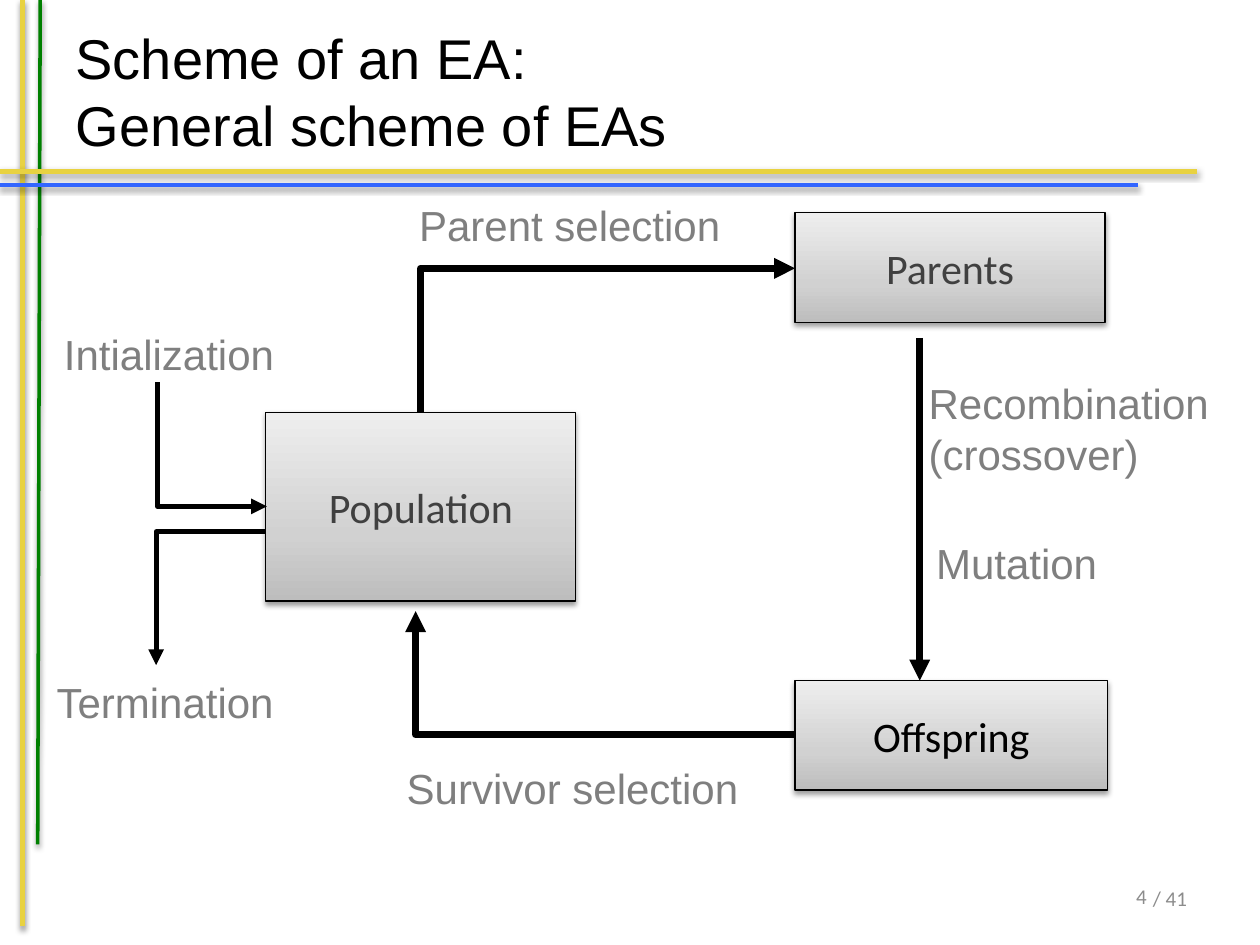
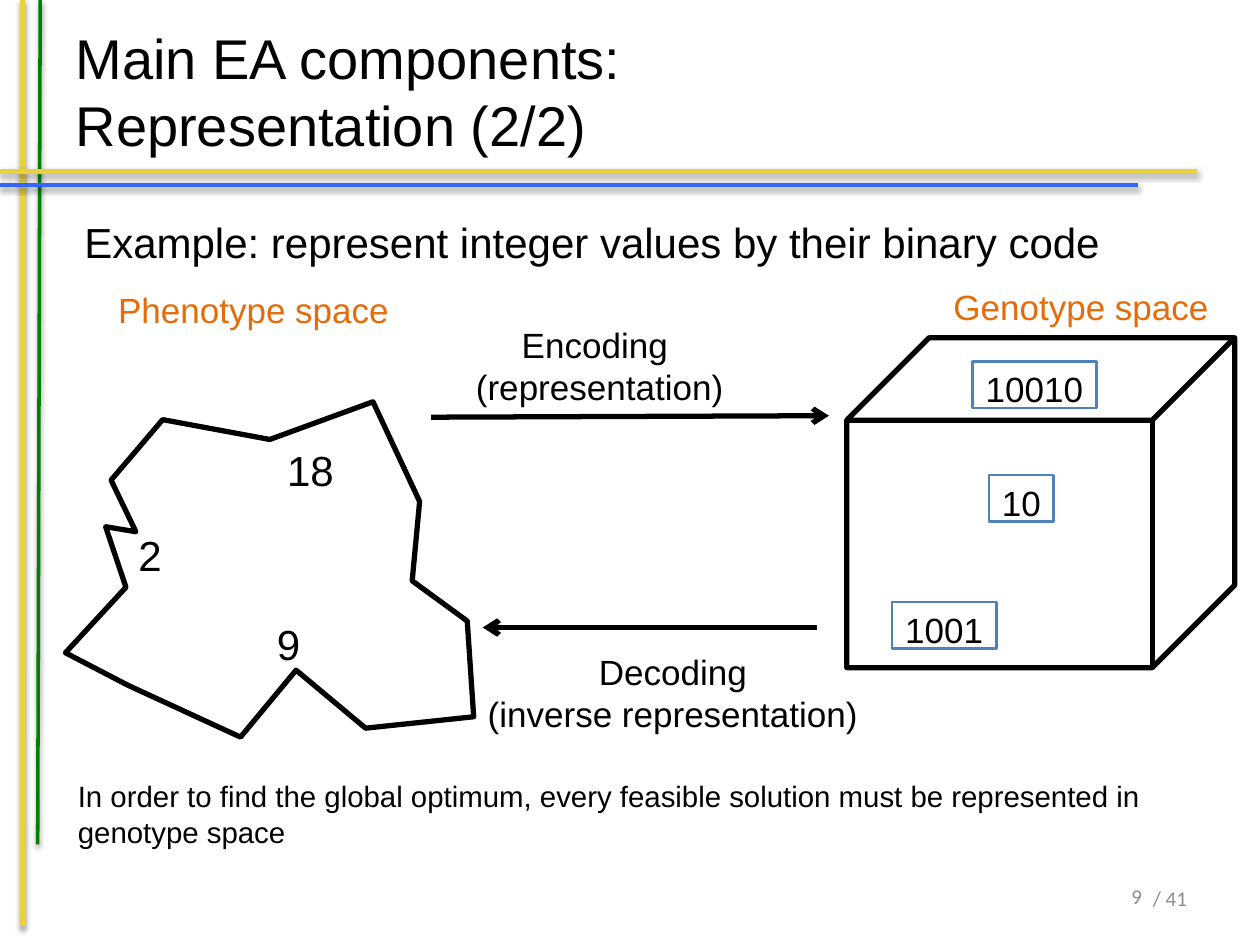
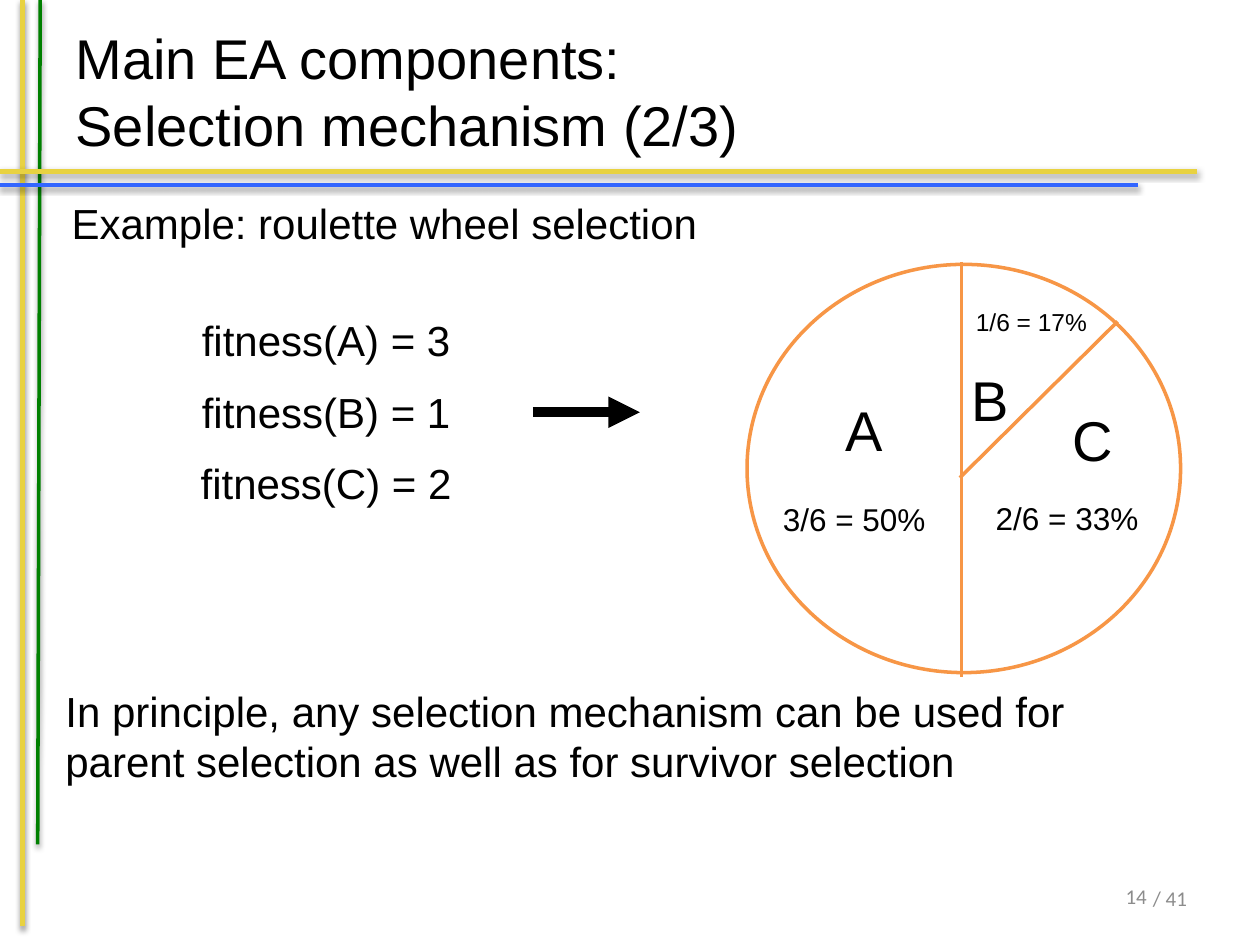
"""Build three slides on the scheme and components of evolutionary algorithms."""
from copy import deepcopy
from lxml import etree
from pptx import Presentation
from pptx.dml.color import RGBColor
from pptx.enum.shapes import MSO_CONNECTOR, MSO_SHAPE
from pptx.enum.text import MSO_ANCHOR, MSO_AUTO_SIZE, PP_ALIGN
from pptx.oxml import parse_xml
from pptx.oxml.ns import nsdecls, qn
from pptx.util import Cm, Pt

RECT, CUBE, OVAL = MSO_SHAPE.RECTANGLE, MSO_SHAPE.CUBE, MSO_SHAPE.OVAL
STRAIGHT, ELBOW = MSO_CONNECTOR.STRAIGHT, MSO_CONNECTOR.ELBOW
LEFT, MID, RIGHT = PP_ALIGN.LEFT, PP_ALIGN.CENTER, PP_ALIGN.RIGHT
TOP, CENTER = MSO_ANCHOR.TOP, MSO_ANCHOR.MIDDLE
FIXED = MSO_AUTO_SIZE.NONE

BLACK, WHITE, GRAY, DARK, PALE = "000000", "FFFFFF", "7F7F7F", "404040", "8C8C8C"
YELLOW, GREEN, BLUE = "E8D241", "008000", "3366FF"
ORANGE, RUST, STEEL = "F79646", "E46C0A", "4F81BD"
HEAD, TAIL = "a:headEnd", "a:tailEnd"

rgb = RGBColor.from_string
shade = parse_xml(
    f'<a:outerShdw {nsdecls("a")} blurRad="40000" dist="20000" dir="5400000" rotWithShape="0">'
    '<a:srgbClr val="000000"><a:alpha val="38000"/></a:srgbClr></a:outerShdw>')


def write(shape, text, size=24, color=BLACK, align=LEFT, anchor=TOP, face="Arial", wrap=False):
    """Put formatted text into a shape."""
    frame = shape.text_frame
    frame.text = text
    for key, val in {"word_wrap": wrap, "auto_size": FIXED, "vertical_anchor": anchor}.items():
        setattr(frame, key, val)
    for para in frame.paragraphs:
        para.alignment = align
        for run in para.runs:
            for key, val in {"name": face, "size": Pt(size), "bold": False}.items():
                setattr(run.font, key, val)
            run.font.color.rgb = rgb(color)


def link(slide, ends, color=BLACK, width=3, mark=None, kind=STRAIGHT):
    """Draw a line, or an elbow that leaves sideways, and return its effect list."""
    line = slide.shapes.add_connector(kind, *[Cm(v) for v in ends])
    line.line.color.rgb = rgb(color)
    line.line.width = Pt(width)
    props = line._element.spPr
    if kind == ELBOW:
        props.find(qn("a:prstGeom")).set("prst", "bentConnector2")
    if mark:
        etree.SubElement(props.find(qn("a:ln")), qn(mark[0])).set("type", mark[1])
    return etree.SubElement(props, qn("a:effectLst"))


deck = Presentation()
deck.slide_width, deck.slide_height = Cm(25.4), Cm(19.05)
layout = deck.slide_layouts[5]

heads = [
    ("Scheme of an EA:\vGeneral scheme of EAs", "4"),
    ("Main EA components:\vRepresentation (2/2)", "9 "),
    ("Main EA components:\vSelection mechanism (2/3)", "14"),
]
slides = []
for head, page in heads:
    slide = deck.slides.add_slide(layout)
    title = slide.shapes.title
    for key, val in {"left": 1.27, "top": 0.23, "width": 22.86, "height": 3.18}.items():
        setattr(title, key, Cm(val))
    write(title, head, 32, anchor=CENTER, wrap=True)
    foot = slide.shapes.add_textbox(Cm(21.87), Cm(17.37), Cm(1.5), Cm(1.4))
    write(foot, page, 12, PALE, RIGHT, CENTER, "Calibri", True)
    slides.append(slide)
scheme, coding, wheel = slides

bands = [
    ((0.46, 0, 0.46, 18.67), YELLOW, 3),
    ((0.81, 0, 0.76, 17.02), GREEN, 2),
    ((0, 3.45, 24.13, 3.45), YELLOW, 3),
    ((0, 3.73, 22.94, 3.73), BLUE, 2),
]
for ends, color, width in bands:
    effect = link(scheme, ends, color, width)
    effect.append(deepcopy(shade))
    layout.shapes._spTree.append(effect.getparent().getparent())
total = scheme.shapes.add_textbox(Cm(22.68), Cm(17.4), Cm(1.5), Cm(1.4))
write(total, "/ 41", 12, PALE, RIGHT, CENTER, "Calibri", True)
layout.shapes._spTree.append(total._element)

stages = [
    ("Population", (5.36, 8.31, 6.25, 3.81), DARK),
    ("Parents", (16.03, 4.29, 6.25, 2.21), DARK),
    ("Offspring", (16.03, 13.72, 6.3, 2.21), BLACK),
]
ramp = [(0, "BDBDBD"), (0.35, "D1D1D1"), (1, "EEEEEE")]
for text, spot, color in stages:
    box = scheme.shapes.add_shape(RECT, *[Cm(v) for v in spot])
    box.fill.gradient()
    box.fill.gradient_angle = 90
    props = box._element.spPr
    stops = props.find(".//" + qn("a:gsLst"))
    stops.insert(1, deepcopy(stops[0]))
    for stop, (place, tone) in zip(box.fill.gradient_stops, ramp):
        stop.position = place
        stop.color.rgb = rgb(tone)
    box.line.color.rgb = rgb(BLACK)
    box.line.width = Pt(0.75)
    box.shadow.inherit = False
    props.find(qn("a:effectLst")).append(deepcopy(shade))
    write(box, text, 24, color, MID, CENTER, "Calibri")

flows = [
    ((16.03, 5.41, 8.48, 8.31), 4, HEAD, ELBOW),
    ((16.03, 14.81, 8.38, 12.32), 4, TAIL, ELBOW),
    ((18.54, 6.81, 18.54, 13.72), 4, TAIL, STRAIGHT),
    ((5.38, 10.21, 3.18, 7.7), 3, HEAD, ELBOW),
    ((5.36, 10.72, 3.15, 13.41), 3, TAIL, ELBOW),
]
for ends, width, tip, kind in flows:
    link(scheme, ends, BLACK, width, (tip, "triangle"), kind)

link(coding, (8.69, 8.41, 16.71, 8.38), mark=(TAIL, "arrow"))
link(coding, (9.73, 12.65, 16.46, 12.65), mark=(HEAD, "arrow"))
edge = [
    (2.74, 10.72), (2.24, 9.68), (3.28, 8.46), (5.44, 8.86), (7.52, 8.1), (8.46, 10.11),
    (8.31, 11.71), (9.42, 12.52), (9.55, 14.45), (7.37, 14.68), (5.97, 13.51), (4.85, 14.86),
    (2.59, 13.82), (1.32, 13.16), (2.54, 11.84), (2.13, 10.62),
]
points = [(Cm(x), Cm(y)) for x, y in edge]
pen = coding.shapes.build_freeform(*points[0])
pen.add_line_segments(points[1:], close=True)
blob = pen.convert_to_shape()
cube = coding.shapes.add_shape(CUBE, Cm(17.07), Cm(6.81), Cm(7.82), Cm(6.65))
disk = wheel.shapes.add_shape(OVAL, Cm(15.06), Cm(5.33), Cm(8.74), Cm(8.23))
for shape, color, width in [(blob, BLACK, 3), (cube, BLACK, 3), (disk, ORANGE, 2)]:
    shape.fill.background()
    shape.line.color.rgb = rgb(color)
    shape.line.width = Pt(width)
    shape.shadow.inherit = False

tags = [
    (coding, "10", (19.94, 9.58, 1.3, 0.94), 20, STEEL, 1.5),
    (coding, "1001", (17.98, 12.14, 2.11, 0.94), 20, STEEL, 1.5),
    (coding, "10010", (19.61, 7.29, 2.49, 0.94), 20, STEEL, 1.5),
    (wheel, "A", (16.81, 7.85, 1.24, 1.63), 32, WHITE, 2),
    (wheel, "C", (21.36, 8.05, 1.32, 1.63), 32, WHITE, 2),
    (wheel, "3/6 = 50%", (15.52, 9.96, 3.4, 1.02), 18, WHITE, 2),
    (wheel, "B", (19.33, 7.24, 1.27, 1.63), 32, WHITE, 2),
    (wheel, "2/6 = 33%", (19.81, 9.93, 3.4, 1.02), 18, WHITE, 2),
]
for slide, text, spot, size, color, width in tags:
    tag = slide.shapes.add_shape(RECT, *[Cm(v) for v in spot])
    tag.fill.solid()
    tag.fill.fore_color.rgb = rgb(WHITE)
    tag.line.color.rgb = rgb(color)
    tag.line.width = Pt(width)
    tag.shadow.inherit = False
    write(tag, text, size, align=MID)

link(wheel, (19.35, 9.63, 22.53, 6.48), ORANGE, 2)
link(wheel, (19.38, 5.28, 19.38, 13.64), ORANGE, 2)
link(wheel, (10.74, 8.31, 12.9, 8.31), width=6, mark=(TAIL, "triangle"))

labels = [
    (scheme, "Parent selection", (8.2, 3.89, 6.63, 1.27), {"color": GRAY}),
    (scheme, "Survivor selection", (7.95, 15.24, 7.26, 1.27), {"color": GRAY}),
    (scheme, "Recombination\n(crossover)", (18.47, 7.49, 6.22, 2.31), {"color": GRAY}),
    (scheme, "Mutation", (18.62, 10.72, 3.78, 1.27), {"color": GRAY}),
    (scheme, "Intialization", (1.04, 6.5, 4.8, 1.27), {"color": GRAY}),
    (scheme, "Termination", (0.89, 13.51, 4.93, 1.27), {"color": GRAY}),
    (coding, "Example: represent integer values by their binary code",
     (1.45, 4.24, 23.37, 1.52), {"wrap": True}),
    (coding, "Genotype space", (18.97, 5.64, 5.69, 1.12), {"size": 20, "color": RUST}),
    (coding, "Phenotype space", (2.13, 5.69, 6.02, 1.12), {"size": 20, "color": RUST}),
    (coding, "Encoding \n(representation)", (9.32, 6.4, 5.54, 1.68), {"size": 20, "align": MID}),
    (coding, "Decoding\n(inverse representation)", (9.55, 12.98, 8.03, 1.68),
     {"size": 20, "align": MID}),
    (coding, "18", (5.54, 8.84, 2.26, 1.09), {"wrap": True}),
    (coding, "2", (2.54, 10.54, 2.26, 1.09), {"wrap": True}),
    (coding, "9", (5.33, 12.34, 2.26, 1.09), {"wrap": True}),
    (coding, "In order to find the global optimum, every feasible solution must be "
     "represented in genotype space", (1.32, 15.57, 23.37, 1.52), {"size": 16.8, "wrap": True}),
    (wheel, "Example: roulette wheel selection", (1.12, 3.86, 13.26, 1.27), {"align": MID}),
    (wheel, "1/6 = 17%", (19.41, 6.07, 2.77, 0.84), {"size": 14, "align": MID}),
    (wheel, "In principle, any selection mechanism can be used for \n"
     "parent selection as well as for survivor selection ", (1.07, 13.69, 21.11, 3.33), {}),
]
for row, (name, score) in enumerate([("A", 3), ("B", 1), ("C", 2)]):
    spot = (3.78, 6.22 + 1.44 * row, 5.59, 1.27)
    labels.append((wheel, f"fitness({name}) = {score}", spot, {"align": MID}))
for slide, text, spot, look in labels:
    write(slide.shapes.add_textbox(*[Cm(v) for v in spot]), text, **look)

deck.save("out.pptx")
